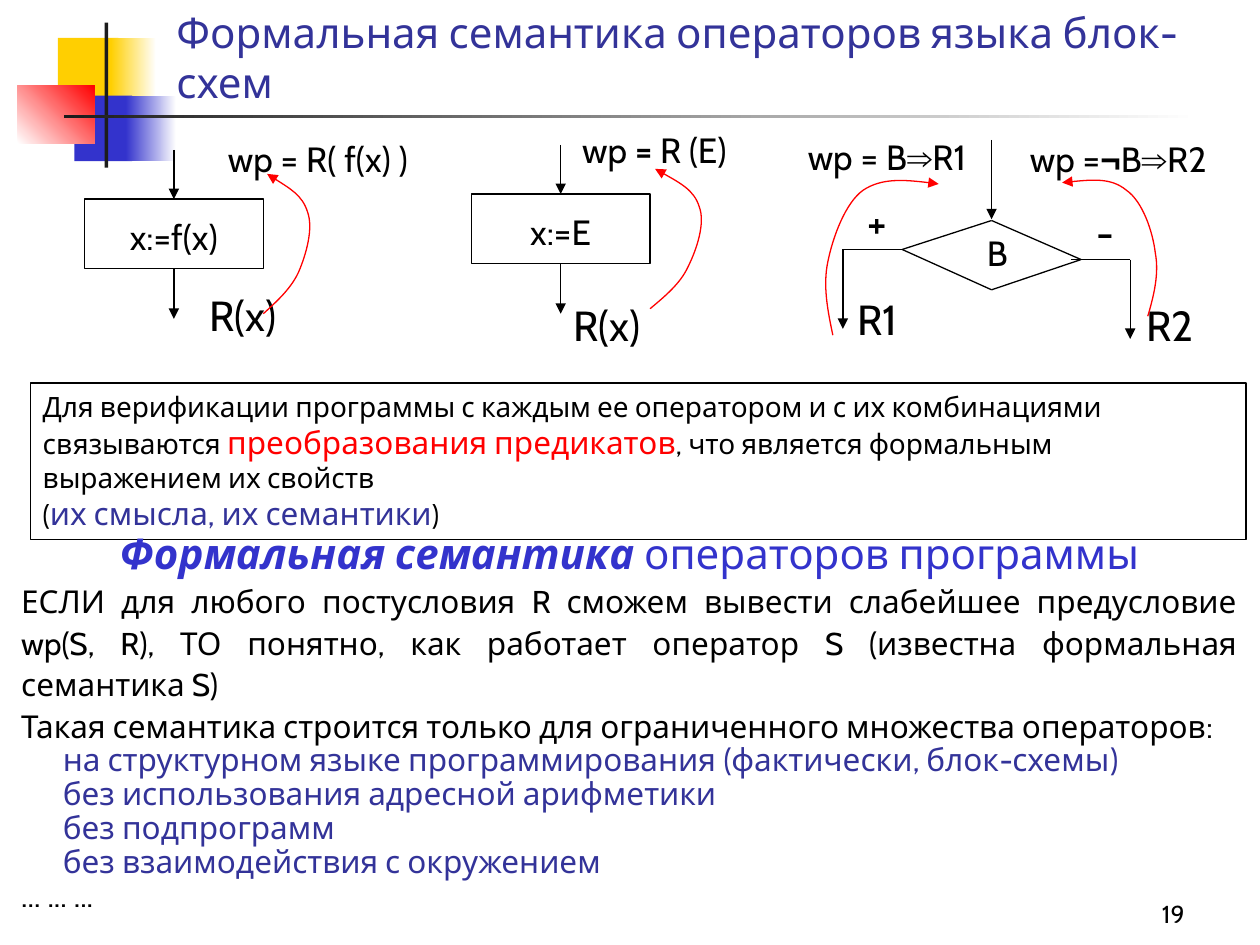
"""Builds the slide on formal semantics of flowchart operators."""
from lxml import etree
from pptx import Presentation
from pptx.dml.color import RGBColor
from pptx.enum.shapes import MSO_CONNECTOR, MSO_SHAPE
from pptx.enum.text import MSO_ANCHOR, MSO_AUTO_SIZE, PP_ALIGN
from pptx.oxml.ns import qn
from pptx.util import Inches, Pt

LEFT, MID, RIGHT, FULL = PP_ALIGN.LEFT, PP_ALIGN.CENTER, PP_ALIGN.RIGHT, PP_ALIGN.JUSTIFY
TOP, LOW = MSO_ANCHOR.TOP, MSO_ANCHOR.BOTTOM
FIXED = MSO_AUTO_SIZE.NONE
RECT, LINE = MSO_SHAPE.RECTANGLE, MSO_CONNECTOR.STRAIGHT

HUES = {"black": "000000", "white": "FFFFFF", "red": "FF0000", "navy": "333399",
        "blue": "3333CC", "gold": "FFCF01", "coal": "1C1C1C"}
FACE = "Cabin"
SIGN = {"font": "Arial", "bold": True}

TITLE = "Формальная семантика операторов языка блок-схем"
DECOR = [
    ((0.46, 0.3, 0.48, 0.52), ("gold",), 0),
    ((0.88, 0.3, 0.36, 0.52), ("gold", "white"), 0),
    ((0.59, 0.76, 0.46, 0.52), ("blue",), 0),
    ((1, 0.76, 0.4, 0.52), ("blue", "white"), 0),
    ((0.14, 0.68, 0.61, 0.46), ("white", "red"), 45),
    ((0.83, 0.18, 0.03, 1.15), ("coal",), 0),
    ((0.51, 0.91, 9, 0.03), ("coal", "white"), 0),
]
STEPS = [(0.67, 1.19, "x:=f(x)"), (3.74, 1.15, "x:=E")]
LABELS = [
    ("R(x)", (1.3, 2.25, 1.26, 0.5), 24),
    ("wp = R( f(x) ) ", (1.49, 1.04, 2.13, 0.44), 20),
    ("R(x)", (4.19, 2.33, 1.26, 0.5), 24),
    (["wp ", ("=", {"bold": True}), " R (E) "], (4.16, 0.97, 2.13, 0.44), 20),
    ("R1", (6.57, 2.28, 0.79, 0.5), 24),
    ("R2", (8.81, 2.33, 0.95, 0.5), 24),
    (["wp = B", ("⇒", SIGN), "R1"], (6.16, 1.03, 1.76, 0.44), 20),
    (["wp =", ("¬", SIGN), "B", ("⇒", SIGN), "R2"], (7.87, 1.04, 2.01, 0.44), 20),
    ("B", (7.48, 1.79, 0.87, 0.44), 20),
    ("+", (6.45, 1.51, 1.02, 0.5), 24),
    ("-", (8.26, 1.59, 1.02, 0.5), 24),
]
RHOMB = [(7.87, 1.75), (8.58, 2.06), (7.87, 2.3), (7.16, 1.98)]
LINKS = [
    ((7.87, 1.11), (7.87, 1.74), True),
    ((7.16, 1.98), (6.69, 1.98), False),
    ((6.69, 1.98), (6.69, 2.61), True),
    ((8.5, 2.06), (8.97, 2.06), False),
    ((8.97, 2.06), (8.97, 2.69), True),
]
CURVES = [
    [(2.12, 1.38), (2.26, 1.47), (2.4, 1.55), (2.44, 1.68), (2.49, 1.81),
     (2.43, 2.02), (2.37, 2.16), (2.31, 2.29), (2.2, 2.39), (2.09, 2.49)],
    [(5.2, 1.34), (5.36, 1.43), (5.51, 1.51), (5.55, 1.64), (5.6, 1.77),
     (5.53, 1.98), (5.46, 2.12), (5.4, 2.25), (5.28, 2.35), (5.16, 2.45)],
    [(8.43, 1.45), (8.62, 1.43), (8.82, 1.41), (8.94, 1.51), (9.07, 1.6),
     (9.15, 1.84), (9.17, 2.01), (9.2, 2.17), (9.16, 2.34), (9.11, 2.51)],
    [(7.45, 1.46), (7.23, 1.43), (7, 1.41), (6.85, 1.51), (6.71, 1.61),
     (6.61, 1.88), (6.57, 2.08), (6.53, 2.27), (6.57, 2.47), (6.61, 2.66)],
]
NOTE = [
    "Для верификации программы с каждым ее оператором и с их комбинациями связываются ",
    ("преобразования предикатов", {"size": 18, "hue": "red"}),
    ", что является формальным выражением их свойств \n(",
    ("их смысла, их семантики", {"size": 18, "hue": "navy"}),
    ")",
]
HEAD = {"align": MID, "space": 1.1, "size": 24, "hue": "blue"}
BODY = {"align": FULL, "space": 1.1}
ITEM = {"space": 0.9, "indent": 0.33, "hue": "navy"}
PROSE = [
    ([("Формальная семантика", {"bold": True, "slant": True}), " операторов программы"], HEAD),
    ("ЕСЛИ для любого постусловия R сможем вывести слабейшее предусловие wp(S, R), "
     "ТО понятно, как работает оператор S (известна формальная семантика S)", BODY),
    ("Такая семантика строится только для ограниченного множества операторов:", BODY),
    ("на структурном языке программирования (фактически, блок-схемы)", ITEM),
    ("без использования адресной арифметики", ITEM),
    ("без подпрограмм", ITEM),
    ("без взаимодействия с окружением", ITEM),
    ("... ... ...", {"space": 0.9}),
]


def tint(name):
    return RGBColor.from_string(HUES[name])


def style(font, size=18, hue="black", font_name=FACE, bold=False, slant=False):
    font.size, font.name, font.bold, font.italic = Pt(size), font_name, bold, slant
    font.color.rgb = tint(hue)


def write(para, text, align=LEFT, space=None, indent=0, **base):
    para.alignment = align
    if space:
        para.line_spacing = space
    if indent:
        para._p.get_or_add_pPr().set("marL", str(Inches(indent)))
    for part in [text] if isinstance(text, str) else text:
        words, extra = (part, {}) if isinstance(part, str) else part
        look = {**base, **extra}
        look["font_name"] = look.pop("font", FACE)
        for i, line in enumerate(words.split("\n")):
            if i:
                para.add_line_break()
            run = para.add_run()
            run.text = line
            style(run.font, **look)


def frame(shape, anchor=TOP):
    body = shape.text_frame
    body.word_wrap, body.auto_size, body.vertical_anchor = True, FIXED, anchor
    return body


def put(slide, text, at, anchor=TOP, **look):
    box = slide.shapes.add_textbox(*map(Inches, at))
    write(frame(box, anchor).paragraphs[0], text, **look)
    return box


def block(slide, at, fill=(), angle=0):
    shape = slide.shapes.add_shape(RECT, *map(Inches, at))
    shape.shadow.inherit = False
    if not fill:
        shape.fill.background()
        shape.line.color.rgb, shape.line.width = tint("black"), Pt(0.75)
        return shape
    shape.line.fill.background()
    if len(fill) == 1:
        shape.fill.solid()
        shape.fill.fore_color.rgb = tint(fill[0])
    else:
        shape.fill.gradient()
        shape.fill.gradient_angle = angle
        for stop, name in zip(shape.fill.gradient_stops, fill):
            stop.color.rgb = tint(name)
    return shape


def tip(shape, end):
    etree.SubElement(shape.line._get_or_add_ln(), qn("a:" + end), type="triangle")


def link(slide, start, stop, arrow=False):
    line = slide.shapes.add_connector(LINE, *map(Inches, start + stop))
    line.line.color.rgb, line.line.width = tint("black"), Pt(0.75)
    if arrow:
        tip(line, "tailEnd")
    etree.SubElement(line._element.spPr, qn("a:effectLst"))


def curve(slide, dots):
    pts = [(Inches(x), Inches(y)) for x, y in dots]
    pen = slide.shapes.build_freeform(*pts[0])
    pen.add_line_segments(pts[1:], close=False)
    shape = pen.convert_to_shape()
    shape.shadow.inherit = False
    shape.fill.background()
    shape.line.color.rgb, shape.line.width = tint("red"), Pt(0.75)
    tip(shape, "headEnd")
    legs = list(shape._element.iter(qn("a:lnTo")))
    route = legs[0].getparent()
    for i in range(0, len(legs), 3):
        bend = etree.SubElement(route, qn("a:cubicBezTo"))
        for leg in legs[i:i + 3]:
            bend.append(leg[0])
            route.remove(leg)


def main():
    deck = Presentation()
    deck.slide_width, deck.slide_height = Inches(10), Inches(7.5)
    slide = deck.slides.add_slide(deck.slide_layouts[5])
    for at, fill, angle in DECOR:
        block(slide, at, fill, angle)
    title = slide.shapes.title
    title.left, title.top, title.width, title.height = map(Inches, (1.3, 0.13, 8.48, 0.77))
    write(frame(title, LOW).paragraphs[0], TITLE, size=24, hue="navy")
    put(slide, "19", (8.31, 6.92, 1.19, 0.5), LOW, align=RIGHT, size=14)
    for x, y, text in STEPS:
        block(slide, (x, y + 0.39, 1.42, 0.55))
        put(slide, text, (x + 0.08, y + 0.47, 1.26, 0.44), align=MID, size=20)
        for top, low in ((0, 0.39), (0.94, 1.34)):
            link(slide, (x + 0.71, y + top), (x + 0.71, y + low), True)
    for start, stop in zip(RHOMB, RHOMB[1:] + RHOMB[:1]):
        link(slide, start, stop)
    for start, stop, arrow in LINKS:
        link(slide, start, stop, arrow)
    for text, at, size in LABELS:
        put(slide, text, at, align=MID, size=size)
    for dots in CURVES:
        curve(slide, dots)
    note = block(slide, (0.24, 3.04, 9.65, 1.24))
    write(frame(note).paragraphs[0], NOTE, size=16)
    (text, look), *rest = PROSE
    prose = put(slide, text, (0.07, 4.1, 9.85, 3.21), **look)
    for text, look in rest:
        write(prose.text_frame.add_paragraph(), text, **look)
    deck.save("out.pptx")


if __name__ == "__main__":
    main()
